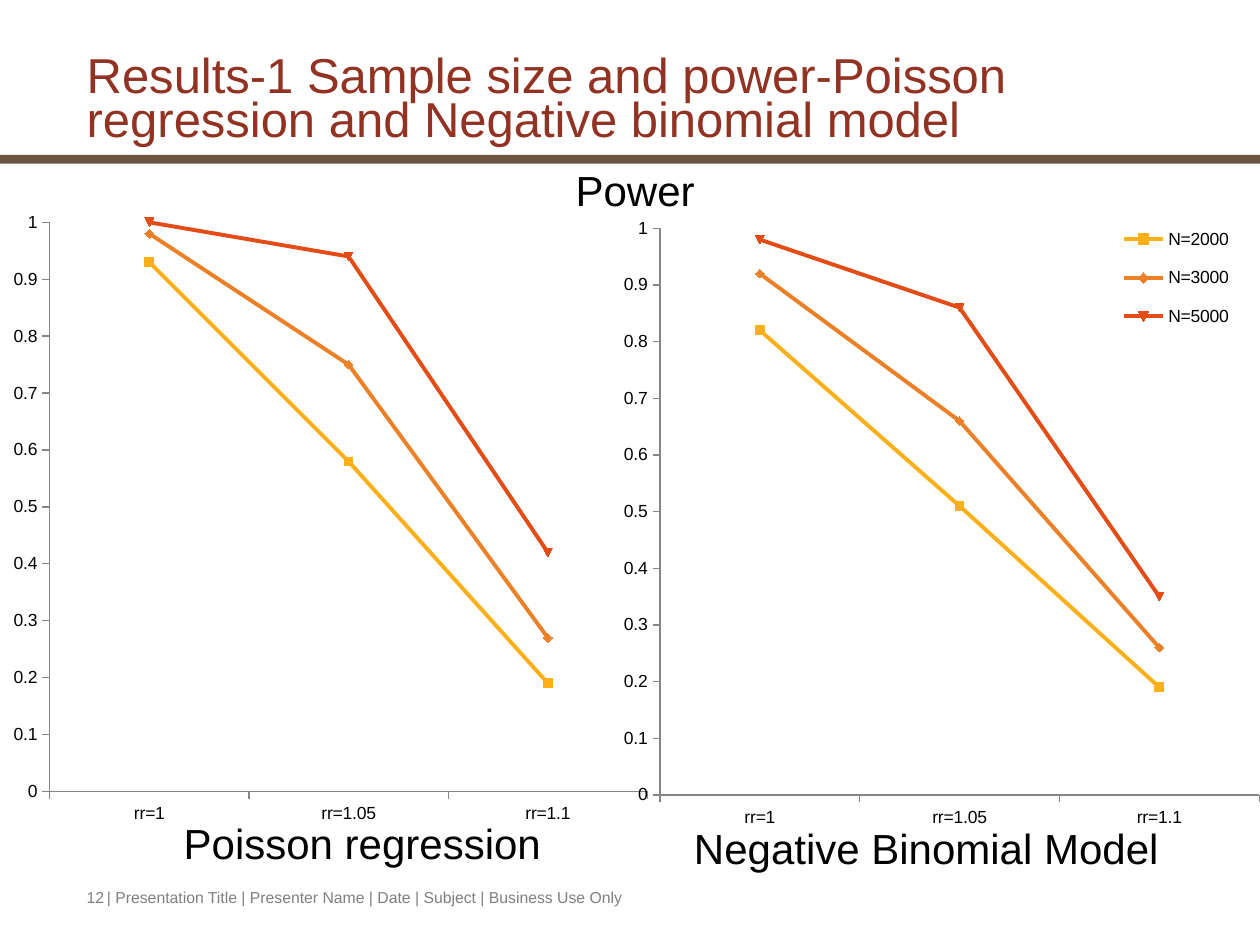
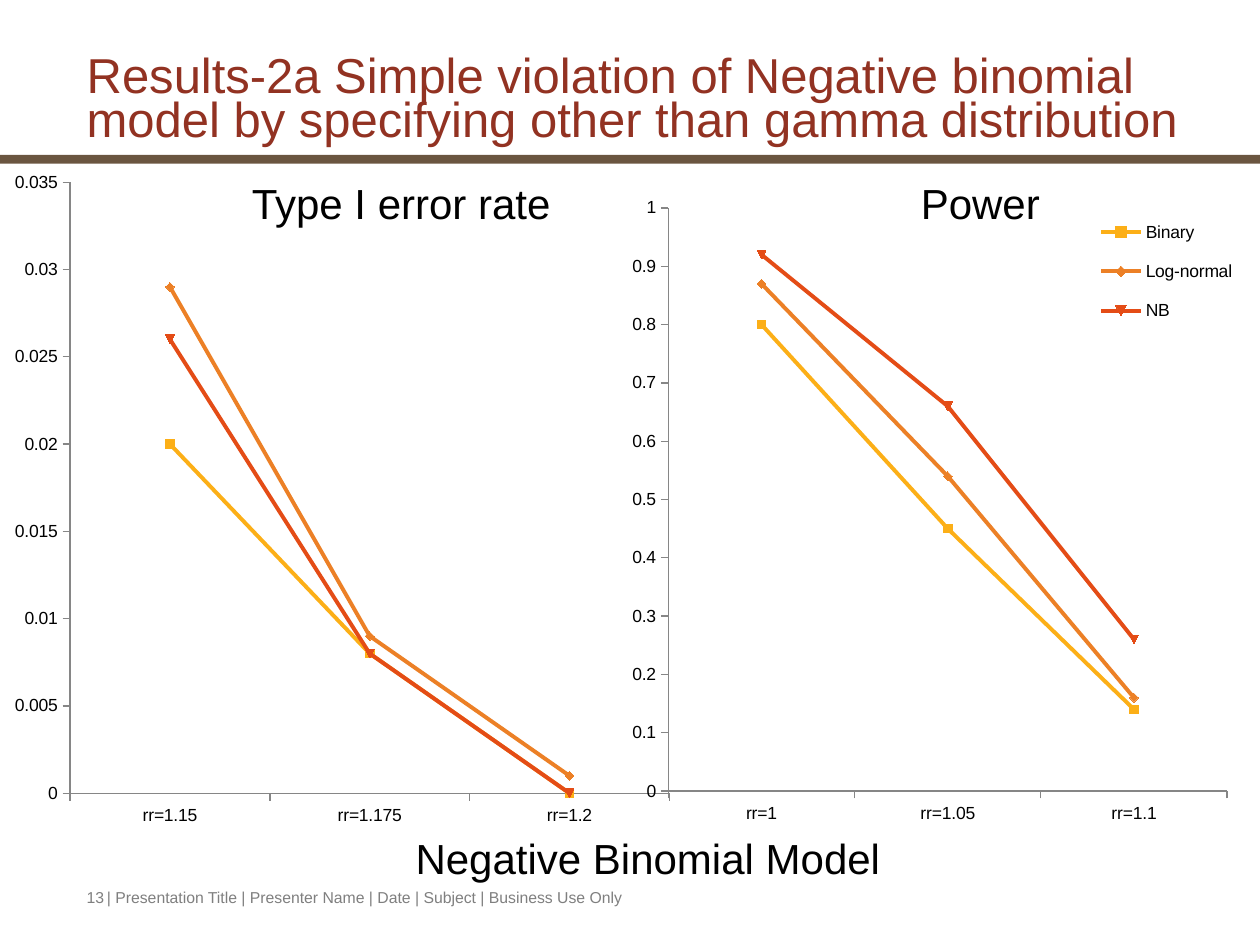
from dataclasses import dataclass

from pptx import Presentation
from pptx.chart.data import CategoryChartData
from pptx.dml.color import RGBColor
from pptx.enum.chart import XL_CHART_TYPE, XL_LEGEND_POSITION, XL_TICK_MARK
from pptx.enum.shapes import MSO_SHAPE
from pptx.enum.text import MSO_ANCHOR
from pptx.oxml import parse_xml
from pptx.oxml.ns import nsdecls
from pptx.util import Inches, Pt

LINE_MARKERS = XL_CHART_TYPE.LINE_MARKERS
LEGEND_RIGHT = XL_LEGEND_POSITION.RIGHT
TICK_OUTSIDE = XL_TICK_MARK.OUTSIDE
TICK_NONE = XL_TICK_MARK.NONE
RECTANGLE = MSO_SHAPE.RECTANGLE
TOP, BOTTOM = MSO_ANCHOR.TOP, MSO_ANCHOR.BOTTOM


@dataclass(frozen=True)
class Theme:
    font: str = "Arial"
    title: str = "923222"
    band: str = "6A5540"
    footer: str = "7F7F7F"
    text: str = "000000"
    axis: str = "868686"
    series: tuple = ("FCAF17", "EC8026", "E44C16")
    title_size: float = 28
    label_size: float = 24
    chart_size: float = 10
    footer_size: float = 9
    series_width: float = 2.25
    axis_width: float = 0.75


THEME = Theme()

presentation = Presentation()
presentation.slide_width = Inches(10)
presentation.slide_height = Inches(7.5)
blank_layout = presentation.slide_layouts[6]

# Every place below is (left, top, width, height) on a grid of 100 columns by 75 rows.
COLUMN = presentation.slide_width / 100
ROW = presentation.slide_height / 75

BAND_PLACE = (0, 12.3, 100, 0.7)
TITLE_PLACE = (5.9, 3.3, 91, 8.8)
FOOTER_PLACE = (7.5, 70, 70.8, 2.7)
NUMBER_PLACE = (5.9, 70, 4.4, 2.7)
FOOTER = "| Presentation Title | Presenter Name | Date | Subject | Business Use Only"

POWER_RATIOS = ("rr=1", "rr=1.05", "rr=1.1")
ERROR_RATIOS = ("rr=1.15", "rr=1.175", "rr=1.2")
UNNAMED = ("Series 1", "Series 2", "Series 3")

SLIDES = [
    {
        "number": 12,
        "title": "Results-1 Sample size and power-Poisson regression and Negative binomial model",
        "labels": [
            ("Negative Binomial Model", (54.1, 64.8, 39.3, 5)),
            ("Power", (44.7, 12.6, 11.6, 5)),
            ("Poisson regression", (13.6, 64.4, 30.7, 5)),
        ],
        "charts": [
            {
                "place": (0, 14.7, 54.1, 52.6),
                "plot": (3.95, 17.65, 47.45, 45.18),
                "legend": None,
                "scale": (1, 0.1),
                "categories": POWER_RATIOS,
                "names": UNNAMED,
                "values": [(0.93, 0.58, 0.19), (0.98, 0.75, 0.27), (1, 0.94, 0.42)],
            },
            {
                "place": (44.7, 15.2, 56.5, 54),
                "plot": (52.38, 18.12, 47.57, 44.98),
                "legend": (88.7, 16.7, 9.3, 10.7),
                "scale": (1, 0.1),
                "categories": POWER_RATIOS,
                "names": ("N=2000", "N=3000", "N=5000"),
                "values": [(0.82, 0.51, 0.19), (0.92, 0.66, 0.26), (0.98, 0.86, 0.35)],
            },
        ],
    },
    {
        "number": 13,
        "title": "Results-2a Simple violation of Negative binomial model "
                 "by specifying other than gamma distribution",
        "labels": [
            ("Type I error rate", (19, 13.6, 26, 5)),
            ("Power", (72.1, 13.6, 11.6, 5)),
            ("Negative Binomial Model", (32, 65.6, 39.3, 5)),
        ],
        "charts": [
            {
                "place": (-1.7, 13.6, 56.3, 54.5),
                "plot": (5.56, 14.47, 47.57, 48.5),
                "legend": None,
                "scale": (0.035, 0.005),
                "categories": ERROR_RATIOS,
                "names": UNNAMED,
                "values": [(0.02, 0.008, 0), (0.029, 0.009, 0.001), (0.026, 0.008, 0)],
            },
            {
                "place": (48.8, 13.6, 50, 52),
                "plot": (53.05, 16.51, 44.35, 46.28),
                "legend": (87, 16.1, 11.2, 10.9),
                "scale": (1, 0.1),
                "categories": POWER_RATIOS,
                "names": ("Binary", "Log-normal", "NB"),
                "values": [(0.8, 0.45, 0.14), (0.87, 0.54, 0.16), (0.92, 0.66, 0.26)],
            },
        ],
    },
]


def add_text(slide, text, place, *, size, color, wrap=True, anchor=TOP,
             line_spacing=None, top_inset=0.05):
    left, top, width, height = place
    box = slide.shapes.add_textbox(
        round(left * COLUMN), round(top * ROW), round(width * COLUMN), round(height * ROW))
    frame = box.text_frame
    frame.word_wrap = wrap
    frame.vertical_anchor = anchor
    frame.margin_top = Inches(top_inset)
    paragraph = frame.paragraphs[0]
    paragraph.line_spacing = line_spacing
    run = paragraph.add_run()
    run.text = text
    run.font.name = THEME.font
    run.font.size = Pt(size)
    run.font.color.rgb = RGBColor.from_string(color)


def manual_layout(place, chart_place, inner=False):
    """Return a c:layout that puts a chart part at a grid place."""
    left, top, width, height = place
    chart_left, chart_top, chart_width, chart_height = chart_place
    shares = {
        "x": (left - chart_left) / chart_width,
        "y": (top - chart_top) / chart_height,
        "w": width / chart_width,
        "h": height / chart_height,
    }
    target = '<c:layoutTarget val="inner"/>' if inner else ""
    modes = "".join(f'<c:{key}Mode val="edge"/>' for key in "xy")
    sizes = "".join(f'<c:{key} val="{share:.4f}"/>' for key, share in shares.items())
    return parse_xml(f'<c:layout {nsdecls("c")}><c:manualLayout>{target}{modes}{sizes}'
                     '</c:manualLayout></c:layout>')


for content in SLIDES:
    slide = presentation.slides.add_slide(blank_layout)

    left, top, width, height = BAND_PLACE
    band = slide.shapes.add_shape(
        RECTANGLE, round(left * COLUMN), round(top * ROW),
        round(width * COLUMN), round(height * ROW))
    band.shadow.inherit = False
    band.fill.solid()
    band.fill.fore_color.rgb = RGBColor.from_string(THEME.band)
    band.line.fill.background()

    add_text(slide, content["title"], TITLE_PLACE, size=THEME.title_size, color=THEME.title,
             anchor=BOTTOM, line_spacing=0.75, top_inset=0.14)
    for text, place in ((FOOTER, FOOTER_PLACE), (str(content["number"]), NUMBER_PLACE)):
        add_text(slide, text, place, size=THEME.footer_size, color=THEME.footer)
    for text, place in content["labels"]:
        add_text(slide, text, place, size=THEME.label_size, color=THEME.text, wrap=False)

    for panel in content["charts"]:
        chart_data = CategoryChartData()
        chart_data.categories = panel["categories"]
        for name, values in zip(panel["names"], panel["values"]):
            chart_data.add_series(name, values)
        left, top, width, height = panel["place"]
        chart = slide.shapes.add_chart(
            LINE_MARKERS, round(left * COLUMN), round(top * ROW),
            round(width * COLUMN), round(height * ROW), chart_data).chart
        chart.has_title = False
        chart.font.name = THEME.font
        chart.font.size = Pt(THEME.chart_size)
        chart.font.color.rgb = RGBColor.from_string(THEME.text)
        chart.plots[0].vary_by_categories = False

        for series, color in zip(chart.plots[0].series, THEME.series):
            series.smooth = False
            series.format.line.width = Pt(THEME.series_width)
            series.format.line.color.rgb = RGBColor.from_string(color)
            series.marker.format.fill.solid()
            series.marker.format.fill.fore_color.rgb = RGBColor.from_string(color)
            series.marker.format.line.color.rgb = RGBColor.from_string(color)

        for axis in (chart.category_axis, chart.value_axis):
            axis.has_major_gridlines = False
            axis.major_tick_mark = TICK_OUTSIDE
            axis.minor_tick_mark = TICK_NONE
            axis.format.line.width = Pt(THEME.axis_width)
            axis.format.line.color.rgb = RGBColor.from_string(THEME.axis)
        chart.value_axis.minimum_scale = 0
        chart.value_axis.maximum_scale, chart.value_axis.major_unit = panel["scale"]
        chart.value_axis.tick_labels.number_format = "General"
        chart.value_axis.tick_labels.number_format_is_linked = False

        chart.has_legend = panel["legend"] is not None
        if chart.has_legend:
            chart.legend.position = LEGEND_RIGHT
            chart.legend.include_in_layout = False

        # Clear backgrounds let the overlapping panels and labels show through.
        for layout in chart.element.xpath("c:chart/c:plotArea/c:layout | c:chart/c:legend/c:layout"):
            layout.getparent().remove(layout)
        plot_area = chart.element.xpath("c:chart/c:plotArea")[0]
        plot_area.insert(0, manual_layout(panel["plot"], panel["place"], inner=True))
        for overlay in chart.element.xpath("c:chart/c:legend/c:overlay"):
            overlay.addprevious(manual_layout(panel["legend"], panel["place"]))
        no_fill = (f'<c:spPr {nsdecls("c", "a")}><a:noFill/>'
                   '<a:ln><a:noFill/></a:ln></c:spPr>')
        plot_area.append(parse_xml(no_fill))
        chart.element.xpath("c:chart")[0].addnext(parse_xml(no_fill))

presentation.save("out.pptx")
